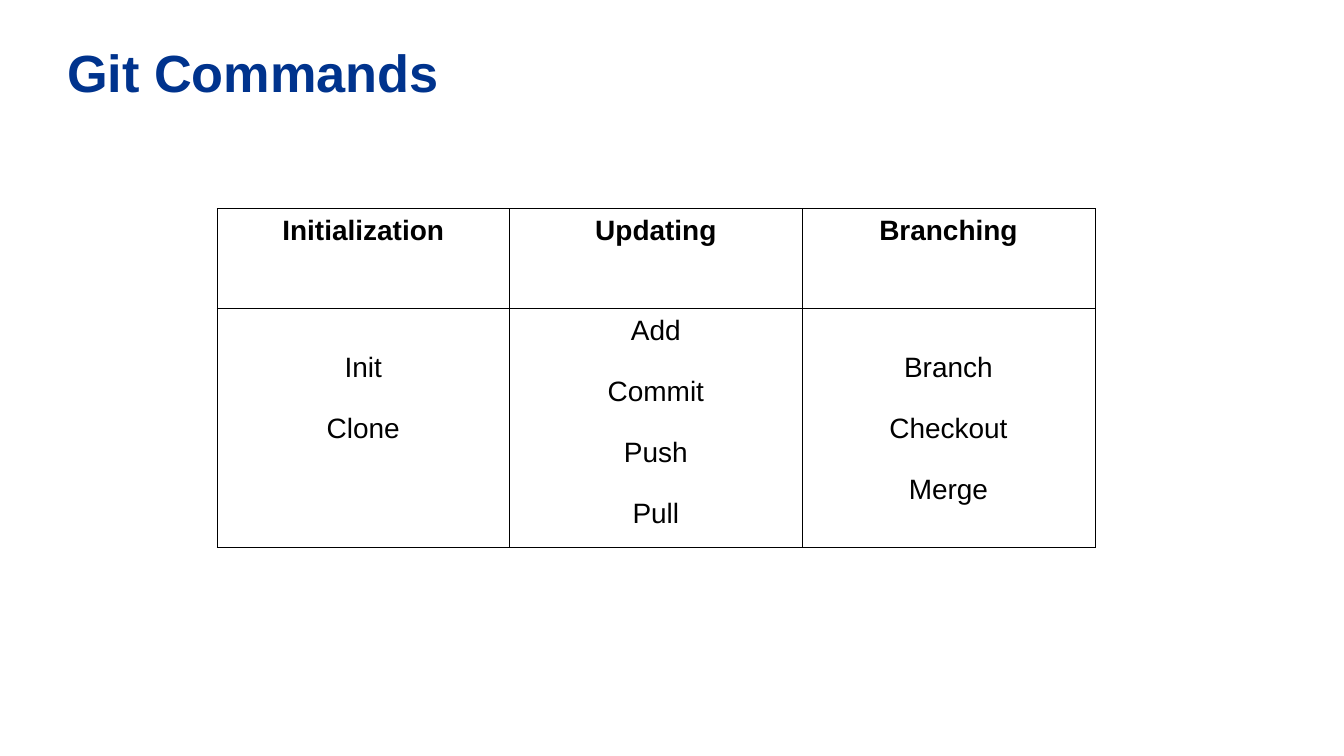
from lxml.etree import SubElement
from pptx import Presentation
from pptx.dml.color import RGBColor
from pptx.enum.text import MSO_ANCHOR, PP_ALIGN
from pptx.oxml.ns import qn
from pptx.util import Cm, Pt

BLUE = RGBColor(0x00, 0x33, 0x8D)
BLACK = RGBColor(0x00, 0x00, 0x00)


def format_font(font, size, color, bold):
    values = {"name": "Arial", "size": Pt(size), "bold": bold}
    for name, value in values.items():
        setattr(font, name, value)
    font.color.rgb = color


def add_borders(cell):
    tcPr = cell._tc.get_or_add_tcPr()
    for side in ("a:lnL", "a:lnR", "a:lnT", "a:lnB"):
        ln = SubElement(tcPr, qn(side), w=str(Pt(0.06)))
        fill = SubElement(ln, qn("a:solidFill"))
        SubElement(fill, qn("a:srgbClr"), val=str(BLACK))


prs = Presentation()
prs.slide_width, prs.slide_height = Cm(25.4), Cm(14.29)
s = prs.slides.add_slide(prs.slide_layouts[5])

# Title
title = s.shapes.title
title_format = {"left": Cm(1.27), "top": Cm(0.71),
                "width": Cm(22.94), "height": Cm(1.3)}
for name, value in title_format.items():
    setattr(title, name, value)
tf = title.text_frame
frame_format = {"margin_left": 0, "margin_right": 0, "margin_top": 0,
                "margin_bottom": 0, "vertical_anchor": MSO_ANCHOR.MIDDLE,
                "word_wrap": True}
for name, value in frame_format.items():
    setattr(tf, name, value)
p = tf.paragraphs[0]
p.alignment = PP_ALIGN.LEFT
r = p.add_run()
r.text = "Git Commands"
format_font(r.font, 28, BLUE, True)

# Command groups: heading, commands, top margin of the commands
groups = [
    ("Initialization", ["Init", "Clone"], Cm(0.83)),
    ("Updating", ["Add", "Commit", "Push", "Pull"], Cm(0.13)),
    ("Branching", ["Branch", "Checkout", "Merge"], Cm(0.83)),
]

# Table
table = s.shapes.add_table(2, len(groups), Cm(4.1), Cm(3.94),
                           Cm(16.59), Cm(6.41)).table
table.horz_banding = False
table.first_row = False
for row, height in zip(table.rows, (Cm(1.89), Cm(4.52))):
    row.height = height

for col, (heading, commands, top) in enumerate(groups):
    table.columns[col].width = Cm(5.53)
    contents = [([heading], Cm(0.13), True), (commands, top, False)]
    for row, (lines, margin_top, bold) in enumerate(contents):
        cell = table.cell(row, col)
        cell_format = {"margin_left": Cm(0.18), "margin_right": Cm(0.18),
                       "margin_top": margin_top, "margin_bottom": Cm(0.13),
                       "vertical_anchor": MSO_ANCHOR.TOP}
        for name, value in cell_format.items():
            setattr(cell, name, value)
        add_borders(cell)
        cell.fill.background()
        tf = cell.text_frame
        for i, line in enumerate(lines):
            p = tf.add_paragraph() if i else tf.paragraphs[0]
            p.alignment = PP_ALIGN.CENTER
            if i:
                p.space_before = Pt(16)
            r = p.add_run()
            r.text = line
            format_font(r.font, 15, BLACK, bold)

prs.save("out.pptx")
